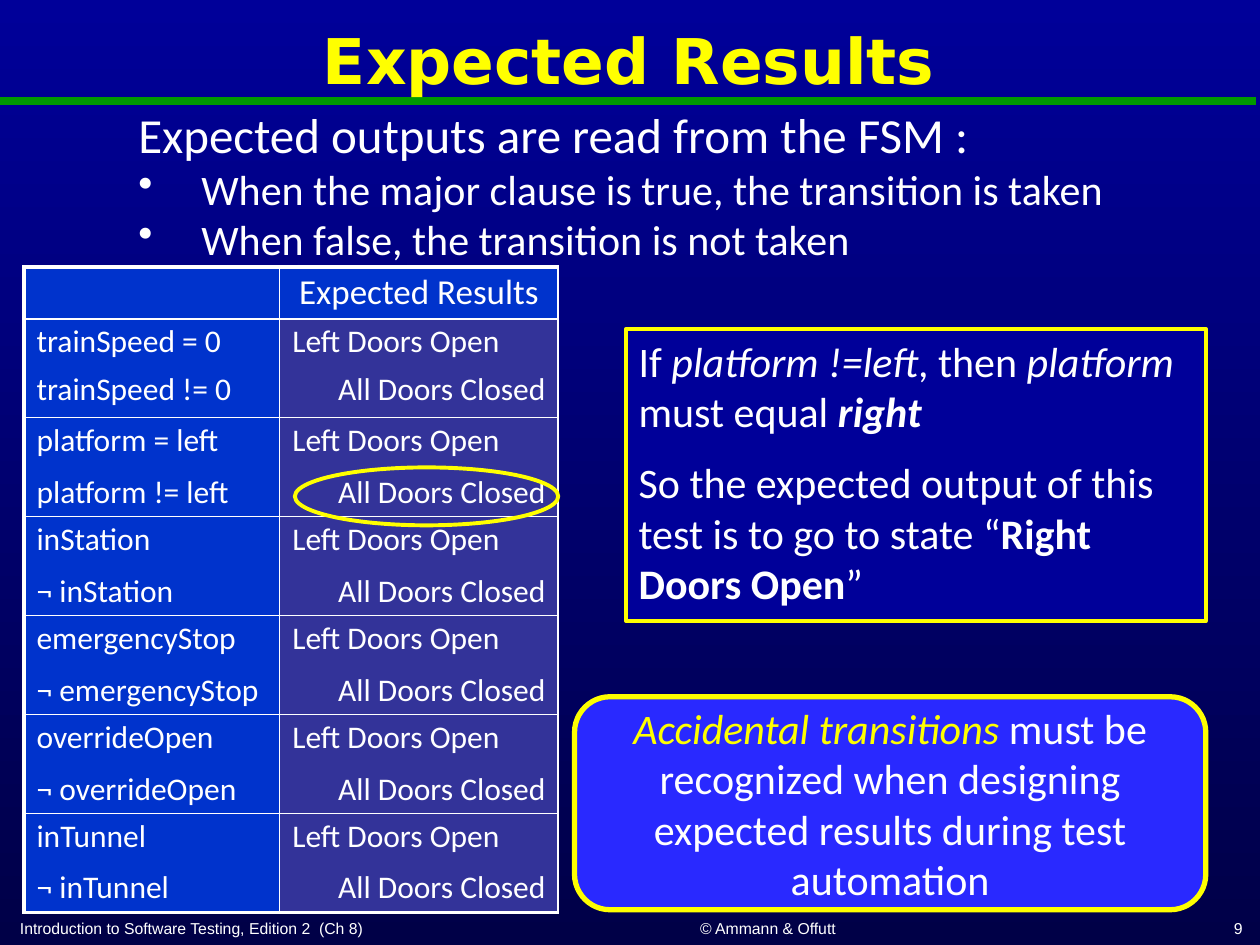
"""Builds the "Expected Results" slide on a grid of 1000 columns by 750 rows."""
from dataclasses import dataclass

from lxml.etree import SubElement
from pptx import Presentation
from pptx.dml.color import RGBColor
from pptx.enum.shapes import MSO_CONNECTOR, MSO_SHAPE
from pptx.enum.text import MSO_ANCHOR, PP_ALIGN
from pptx.oxml import parse_xml
from pptx.oxml.ns import nsdecls, qn
from pptx.util import Emu, Inches, Pt


@dataclass(frozen=True)
class Theme:
    body: str = "Calibri"
    heading: str = "DejaVu Sans"
    footer: str = "Arial"
    white: str = "FFFFFF"
    yellow: str = "FFFF00"
    green: str = "009900"
    navy: str = "000099"
    midnight: str = "000047"
    label: str = "0033CC"
    result: str = "333399"
    callout: str = "2929FF"
    title_size: float = 36
    lead_size: float = 28
    text_size: float = 24
    header_size: float = 20
    cell_size: float = 18
    footer_size: float = 9
    thin: float = 1
    thick: float = 2.25


@dataclass(frozen=True)
class Run:
    text: str
    italic: bool = False
    bold: bool = False
    color: str = ""


@dataclass(frozen=True)
class Para:
    runs: tuple
    size: float
    align: PP_ALIGN = PP_ALIGN.LEFT
    font: str = Theme.body
    color: str = Theme.white
    spacing: float = 1.0
    before: float = 0
    bullet: bool = False


@dataclass(frozen=True)
class Box:
    col: int
    row: int
    cols: int
    rows: int
    paras: tuple = ()
    anchor: MSO_ANCHOR = MSO_ANCHOR.TOP
    shape: MSO_SHAPE | None = None
    fill: str = ""
    line: float = Theme.thick


T = Theme()
WIDTH, HEIGHT = Inches(10), Inches(7.5)
LEFT, CENTER, RIGHT = PP_ALIGN.LEFT, PP_ALIGN.CENTER, PP_ALIGN.RIGHT
TOP, MIDDLE, BOTTOM = MSO_ANCHOR.TOP, MSO_ANCHOR.MIDDLE, MSO_ANCHOR.BOTTOM


def x(cols: float) -> Emu:
    """Return the width of a number of grid columns."""
    return Emu(int(WIDTH * cols / 1000))


def y(rows: float) -> Emu:
    """Return the height of a number of grid rows."""
    return Emu(int(HEIGHT * rows / 750))


def rgb(color: str) -> RGBColor:
    """Return a colour object for a hex value."""
    return RGBColor.from_string(color)


def write(tf, paras: tuple) -> None:
    """Fill a text frame with paragraphs."""
    for i, para in enumerate(paras):
        p = tf.add_paragraph() if i else tf.paragraphs[0]
        p.alignment, p.line_spacing = para.align, para.spacing
        p.space_before = Pt(para.before)
        p.font.name, p.font.size = para.font, Pt(para.size)
        p.font.color.rgb = rgb(para.color)
        if para.bullet:
            pPr = p._p.get_or_add_pPr()
            pPr.set("marL", str(x(50)))
            pPr.set("indent", str(-x(50)))
            bullet = parse_xml(f'<a:buChar {nsdecls("a")} char="•"/>')
            pPr.find(qn("a:defRPr")).addprevious(bullet)
        for run in para.runs:
            r = p.add_run()
            r.text = run.text
            r.font.name, r.font.size = para.font, Pt(para.size)
            r.font.color.rgb = rgb(run.color or para.color)
            r.font.italic, r.font.bold = run.italic, run.bold


def draw_box(slide, box: Box) -> None:
    """Draw a text box or an outlined shape."""
    place = x(box.col), y(box.row), x(box.cols), y(box.rows)
    if box.shape is None:
        sp = slide.shapes.add_textbox(*place)
    else:
        sp = slide.shapes.add_shape(box.shape, *place)
        sp.shadow.inherit = False
        sp.line.color.rgb, sp.line.width = rgb(T.yellow), Pt(box.line)
        if box.fill:
            sp.fill.solid()
            sp.fill.fore_color.rgb = rgb(box.fill)
        else:
            sp.fill.background()
    tf = sp.text_frame
    tf.word_wrap, tf.vertical_anchor = True, box.anchor
    write(tf, box.paras)


def draw_rule(slide) -> None:
    """Draw the line below the title."""
    s = slide.shapes.add_connector(MSO_CONNECTOR.STRAIGHT, 0, y(80), x(997), y(80))
    s.line.color.rgb, s.line.width = rgb(T.green), Pt(4.5)
    SubElement(s._element.spPr, qn("a:effectLst"))


def draw_cell(cell, para: Para | None, fill: str, anchor: MSO_ANCHOR, edges: dict) -> None:
    """Fill one table cell and set its four edges."""
    cell.vertical_anchor = anchor
    if para:
        write(cell.text_frame, (para,))
    cell.fill.solid()
    cell.fill.fore_color.rgb = rgb(fill)
    tcPr = cell._tc.get_or_add_tcPr()
    for i, (side, width) in enumerate(edges.items()):
        paint = f'<a:solidFill><a:srgbClr val="{T.white}"/></a:solidFill>' if width else "<a:noFill/>"
        tcPr.insert(i, parse_xml(f'<a:ln{side} {nsdecls("a")} w="{Pt(width)}">{paint}</a:ln{side}>'))


def draw_table(slide, clauses: tuple) -> None:
    """Draw the header and one pair of rows for each clause."""
    heights = [41, 37, 41] + [41, 37] * (len(clauses) - 1)
    table = slide.shapes.add_table(len(heights), 2, x(19), y(212), x(424), y(sum(heights))).table
    table.first_row = table.horz_banding = False
    for column, width in zip(table.columns, (203, 221)):
        column.width = x(width)
    for row, height in zip(table.rows, heights):
        row.height = y(height)
    rows = [("", "Expected Results")]
    for pair in clauses:
        rows += zip(pair, ("Left Doors Open", "All Doors Closed"))
    last = len(rows) - 1
    for i, texts in enumerate(rows):
        for j, text in enumerate(texts):
            size = T.cell_size if i else T.header_size
            align = CENTER if i == 0 else RIGHT if j and i % 2 == 0 else LEFT
            para = Para((Run(text),), size, align, spacing=0.9) if text else None
            edges = {
                "L": T.thin if j else T.thick,
                "R": T.thin,
                "T": T.thick if i == 0 else T.thin if i % 2 else 0,
                "B": T.thick if i == last else 0 if i % 2 else T.thin,
            }
            draw_cell(table.cell(i, j), para, T.result if i and j else T.label,
                      TOP if i else MIDDLE, edges)


def footer(col: int, cols: int, text: str, align: PP_ALIGN) -> Box:
    """Return one part of the footer."""
    para = Para((Run(text),), T.footer_size, align, T.footer)
    return Box(col, 718, cols, 31, (para,), BOTTOM)


CLAUSES = (("trainSpeed = 0", "trainSpeed != 0"), ("platform = left", "platform != left")) + tuple(
    (name, f"¬ {name}") for name in ("inStation", "emergencyStop", "overrideOpen", "inTunnel"))

BOXES = (
    Box(2, 11, 994, 80, (Para((Run("Expected Results", bold=True),), T.title_size, CENTER,
                              T.heading, T.yellow, 0.9),), MIDDLE),
    footer(6, 429, "Introduction to Software Testing, Edition 2  (Ch 8)", LEFT),
    footer(451, 317, "© Ammann & Offutt", CENTER),
    footer(788, 208, "9", RIGHT),
    Box(100, 78, 866, 138, (
        Para((Run("Expected outputs are read from the FSM :"),), T.lead_size),
        Para((Run("When the major clause is true, the transition is taken"),), T.text_size, bullet=True),
        Para((Run("When false, the transition is not taken"),), T.text_size, bullet=True))),
    Box(234, 371, 209, 46, shape=MSO_SHAPE.OVAL),
    Box(497, 261, 460, 232, (
        Para((Run("If "), Run("platform !=left", italic=True), Run(", then "),
              Run("platform", italic=True), Run(" must equal "),
              Run("right", italic=True, bold=True)), T.text_size),
        Para((Run("So the expected output of this test is to go to state “"),
              Run("Right Doors Open", bold=True), Run("”")), T.text_size, before=12)),
        shape=MSO_SHAPE.RECTANGLE, fill=T.navy),
    Box(456, 553, 501, 169, (
        Para((Run("Accidental transitions", italic=True, color=T.yellow),
              Run(" must be recognized when designing expected results during test automation")),
             T.text_size, CENTER),), MIDDLE, MSO_SHAPE.ROUNDED_RECTANGLE, T.callout, 3),
)

prs = Presentation()
prs.slide_width, prs.slide_height = WIDTH, HEIGHT
slide = prs.slides.add_slide(prs.slide_layouts[6])
background = slide.background.fill
background.gradient()
background.gradient_angle = 270
for stop, color in zip(background.gradient_stops, (T.navy, T.midnight)):
    stop.color.rgb = rgb(color)
draw_rule(slide)
draw_table(slide, CLAUSES)
for box in BOXES:
    draw_box(slide, box)
prs.save("out.pptx")
